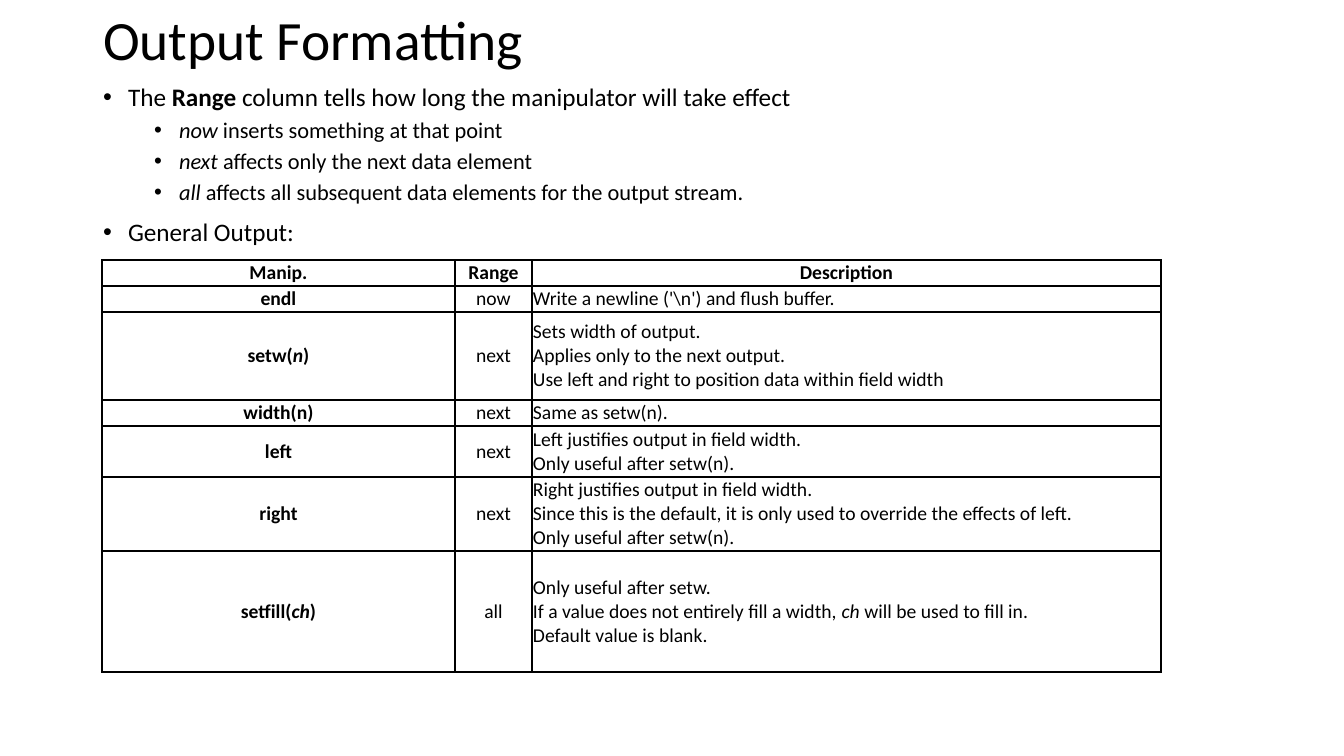
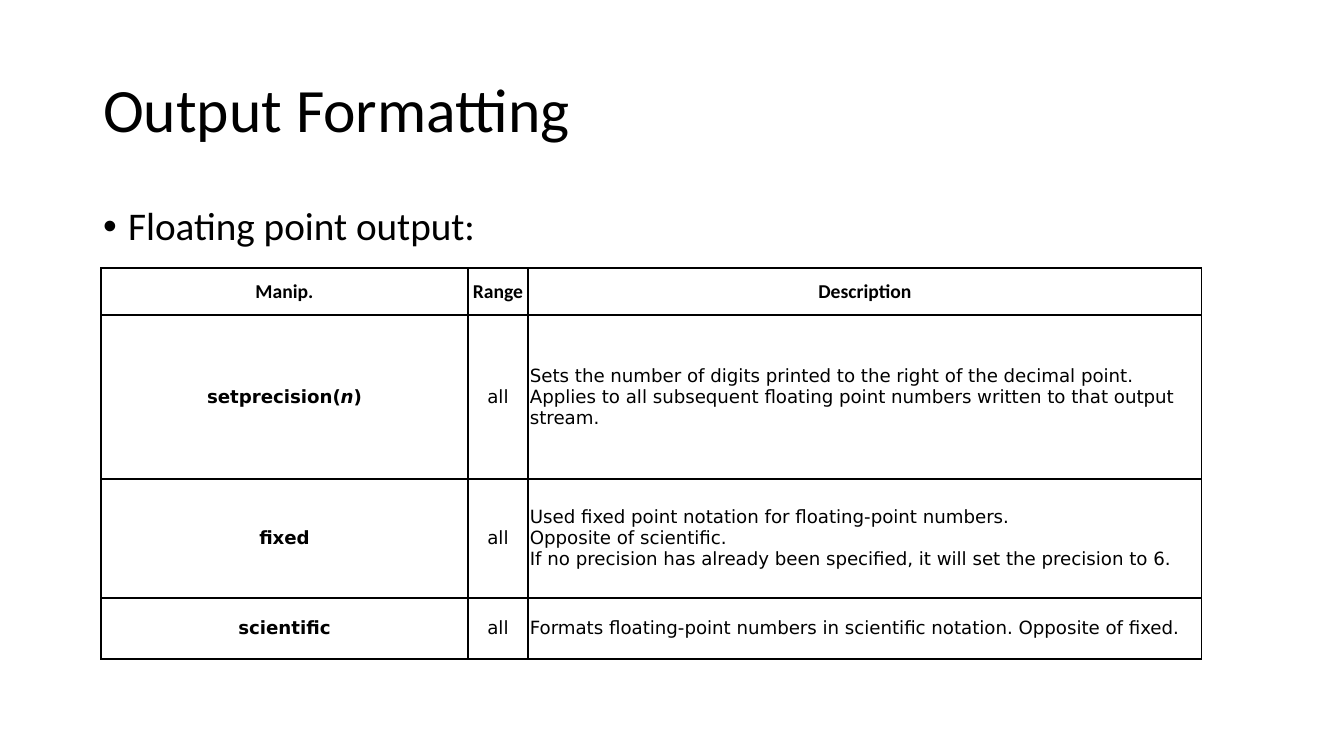
from lxml import etree
from pptx import Presentation
from pptx.dml.color import RGBColor
from pptx.enum.text import MSO_ANCHOR, MSO_AUTO_SIZE, PP_ALIGN
from pptx.oxml.ns import qn
from pptx.util import Emu, Pt

LEFT, CENTER = PP_ALIGN.LEFT, PP_ALIGN.CENTER
TOP, MIDDLE = MSO_ANCHOR.TOP, MSO_ANCHOR.MIDDLE
NO_AUTOFIT = MSO_AUTO_SIZE.NONE

BLACK = RGBColor(0x00, 0x00, 0x00)
WHITE = RGBColor(0xFF, 0xFF, 0xFF)
HEADING_FONT, CODE_FONT = "Calibri", "DejaVu Sans"
EMU_PER_PIXEL = 914400 / 100.8
SLIDE_SIZE = (1344, 756)
TITLE = "Output Formatting"
HEADER = ("Manip.", "Range", "Description")
BORDER_SIDES = ("a:lnL", "a:lnR", "a:lnT", "a:lnB")
BORDER_WIDTH = Pt(1)

LEVELS = (
    {"indent": 25, "space_before": Pt(10)},
    {"indent": 76, "space_before": Pt(5)},
)
HANGING = 25


def px(length):
    """Turn picture pixels into EMU."""
    return Emu(round(length * EMU_PER_PIXEL))


def apply_format(target, values):
    """Set every attribute named in a dict of format values."""
    for name, value in values.items():
        setattr(target, name, value)


def add_runs(paragraph, text, font, emphasis="italic"):
    """Write text in which asterisks surround the emphasised parts."""
    for index, part in enumerate(text.split("*")):
        if not part:
            continue
        run = paragraph.add_run()
        run.text = part
        apply_format(run.font, font)
        run.font.color.rgb = BLACK
        if index % 2:
            setattr(run.font, emphasis, True)


def place(shape, box, anchor):
    """Move a placeholder to its box and fix its text frame."""
    values = dict(zip(("left", "top", "width", "height"), map(px, box)))
    apply_format(shape, values)
    frame = shape.text_frame
    apply_format(frame, {"word_wrap": True, "auto_size": NO_AUTOFIT,
                         "vertical_anchor": anchor})
    return frame


def fill_title(slide, box, size):
    """Fill the title placeholder."""
    paragraph = place(slide.shapes.title, box, MIDDLE).paragraphs[0]
    apply_format(paragraph, {"alignment": LEFT, "line_spacing": 0.9})
    add_runs(paragraph, TITLE, {"name": HEADING_FONT, "size": Pt(size)})


def fill_bullets(slide, box, sizes, items):
    """Fill the body placeholder with (level, text, emphasis) items."""
    frame = place(slide.placeholders[1], box, TOP)
    for index, (level, text, emphasis) in enumerate(items):
        paragraph = frame.add_paragraph() if index else frame.paragraphs[0]
        style = LEVELS[level]
        apply_format(paragraph, {"level": level, "alignment": LEFT,
                                 "line_spacing": 0.9,
                                 "space_before": style["space_before"]})
        properties = paragraph._p.get_or_add_pPr()
        properties.set("marL", str(px(style["indent"])))
        properties.set("indent", str(-px(HANGING)))
        etree.SubElement(properties, qn("a:buFont"), typeface="Arial")
        etree.SubElement(properties, qn("a:buChar"), char="\u2022")
        add_runs(paragraph, text,
                 {"name": HEADING_FONT, "size": Pt(sizes[level])}, emphasis)


def add_borders(cell):
    """Draw a thin black line on all four sides of a cell."""
    properties = cell._tc.get_or_add_tcPr()
    for side in BORDER_SIDES:
        line = etree.SubElement(properties, qn(side), w=str(BORDER_WIDTH))
        fill = etree.SubElement(line, qn("a:solidFill"))
        etree.SubElement(fill, qn("a:srgbClr"), val=str(BLACK))


def fill_cell(cell, text, alignment, font, inset):
    """Format one cell and write one paragraph per line of text."""
    margins = ("margin_left", "margin_top", "margin_right", "margin_bottom")
    apply_format(cell, dict.fromkeys(margins, px(inset)))
    cell.vertical_anchor = MIDDLE
    add_borders(cell)
    cell.fill.solid()
    cell.fill.fore_color.rgb = WHITE
    for index, line in enumerate(text.split("\n")):
        frame = cell.text_frame
        paragraph = frame.add_paragraph() if index else frame.paragraphs[0]
        paragraph.alignment = alignment
        add_runs(paragraph, line, font)


def add_manipulator_table(slide, origin, widths, heights, rows, font, inset):
    """Add a table of manipulators under the shared header."""
    size = (sum(widths), sum(heights))
    table = slide.shapes.add_table(len(heights), len(widths),
                                   *map(px, origin + size)).table
    apply_format(table, {"first_row": False, "horz_banding": False})
    for column, width in zip(table.columns, widths):
        column.width = px(width)
    for row, height in zip(table.rows, heights):
        row.height = px(height)
    header_font = {"name": HEADING_FONT, "size": Pt(14), "bold": True}
    for column, text in enumerate(HEADER):
        fill_cell(table.cell(0, column), text, CENTER, header_font, 1)
    for row, texts in enumerate(rows, start=1):
        for column, text in enumerate(texts):
            fill_cell(table.cell(row, column), text,
                      LEFT if column == 2 else CENTER,
                      {**font, "bold": column == 0}, inset)


def add_slide(presentation, title, bullets, table):
    """Build one slide from the settings of its three regions."""
    slide = presentation.slides.add_slide(presentation.slide_layouts[1])
    fill_title(slide, **title)
    fill_bullets(slide, **bullets)
    add_manipulator_table(slide, **table)


GENERAL_OUTPUT = {
    "title": {"box": (93, 24, 1159, 38), "size": 39.6},
    "bullets": {
        "box": (93, 80, 1159, 636),
        "sizes": (18, 16),
        "items": (
            (0, "The *Range* column tells how long the manipulator "
                "will take effect", "bold"),
            (1, "*now* inserts something at that point", "italic"),
            (1, "*next* affects only the next data element", "italic"),
            (1, "*all* affects all subsequent data elements for the "
                "output stream.", "italic"),
            (0, "General Output:", "italic"),
        ),
    },
    "table": {
        "origin": (102, 260),
        "widths": (353, 77, 629),
        "heights": (26, 26, 88, 26, 51, 74, 121),
        "font": {"name": HEADING_FONT, "size": Pt(14)},
        "inset": 1,
        "rows": (
            ("endl", "now", "Write a newline ('\\n') and flush buffer."),
            ("setw(*n*)", "next",
             "Sets width of output.\n"
             "Applies only to the next output.\n"
             "Use left and right to position data within field width"),
            ("width(n)", "next", "Same as setw(n)."),
            ("left", "next",
             "Left justifies output in field width.\n"
             "Only useful after setw(n)."),
            ("right", "next",
             "Right justifies output in field width.\n"
             "Since this is the default, it is only used to override "
             "the effects of left.\n"
             "Only useful after setw(n)."),
            ("setfill(*ch*)", "all",
             "Only useful after setw.\n"
             "If a value does not entirely fill a width, *ch* will be "
             "used to fill in.\n"
             "Default value is blank."),
        ),
    },
}

FLOATING_POINT_OUTPUT = {
    "title": {"box": (93, 40, 1159, 146), "size": 44},
    "bullets": {
        "box": (93, 202, 1159, 480),
        "sizes": (28,),
        "items": ((0, "Floating point output:", "italic"),),
    },
    "table": {
        "origin": (101, 268),
        "widths": (367, 60, 674),
        "heights": (47, 164, 119, 61),
        "font": {"name": CODE_FONT, "size": Pt(13)},
        "inset": 2,
        "rows": (
            ("setprecision(*n*)", "all",
             "Sets the number of digits printed to the right of the "
             "decimal point.\n"
             "Applies to all subsequent floating point numbers written "
             "to that output stream."),
            ("fixed", "all",
             "Used fixed point notation for floating-point numbers.\n"
             "Opposite of scientific.\n"
             "If no precision has already been specified, it will set "
             "the precision to 6."),
            ("scientific", "all",
             "Formats floating-point numbers in scientific notation. "
             "Opposite of fixed."),
        ),
    },
}


def main():
    """Build and save the presentation."""
    presentation = Presentation()
    presentation.slide_width, presentation.slide_height = map(px, SLIDE_SIZE)
    for settings in (GENERAL_OUTPUT, FLOATING_POINT_OUTPUT):
        add_slide(presentation, **settings)
    presentation.save("out.pptx")


main()
